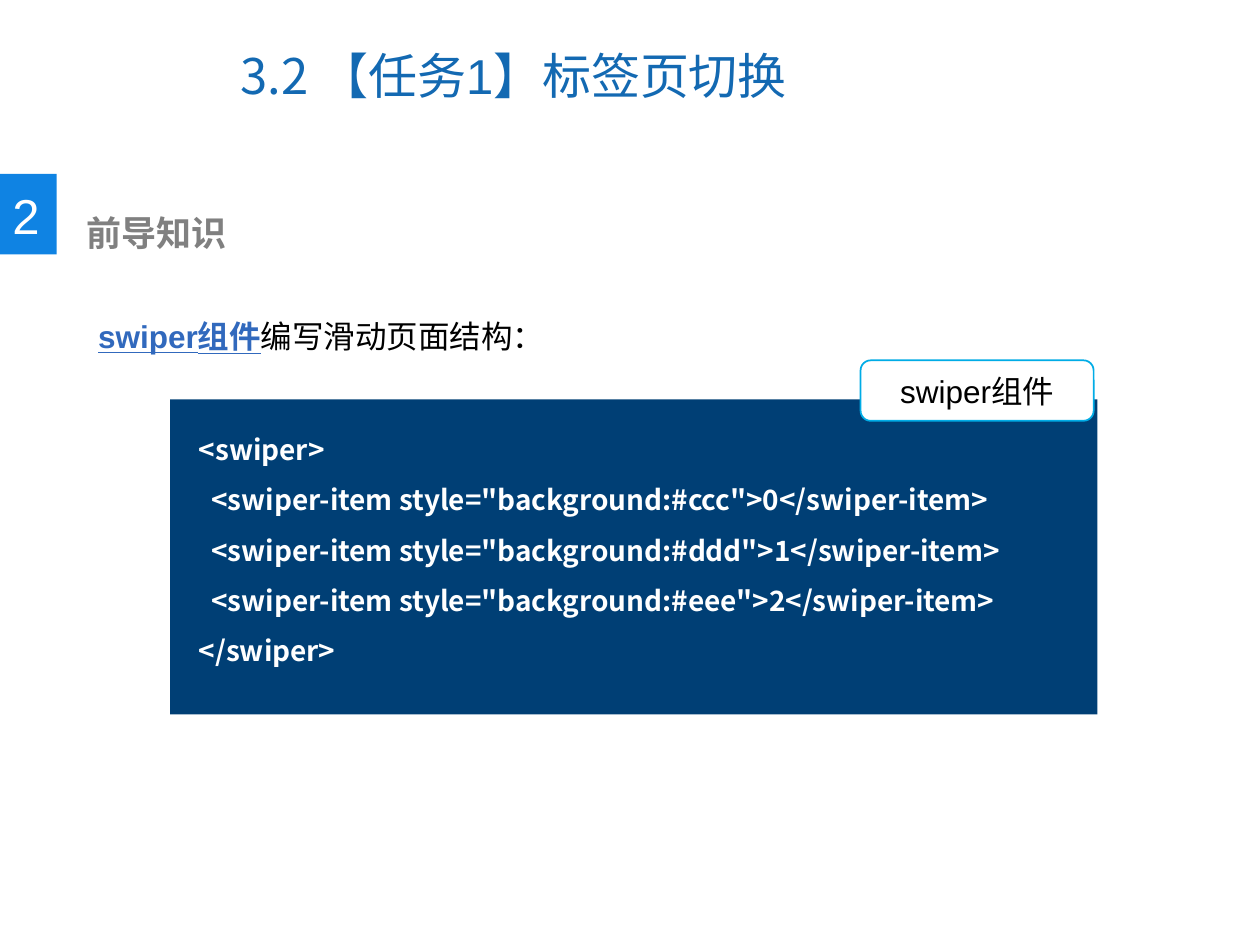
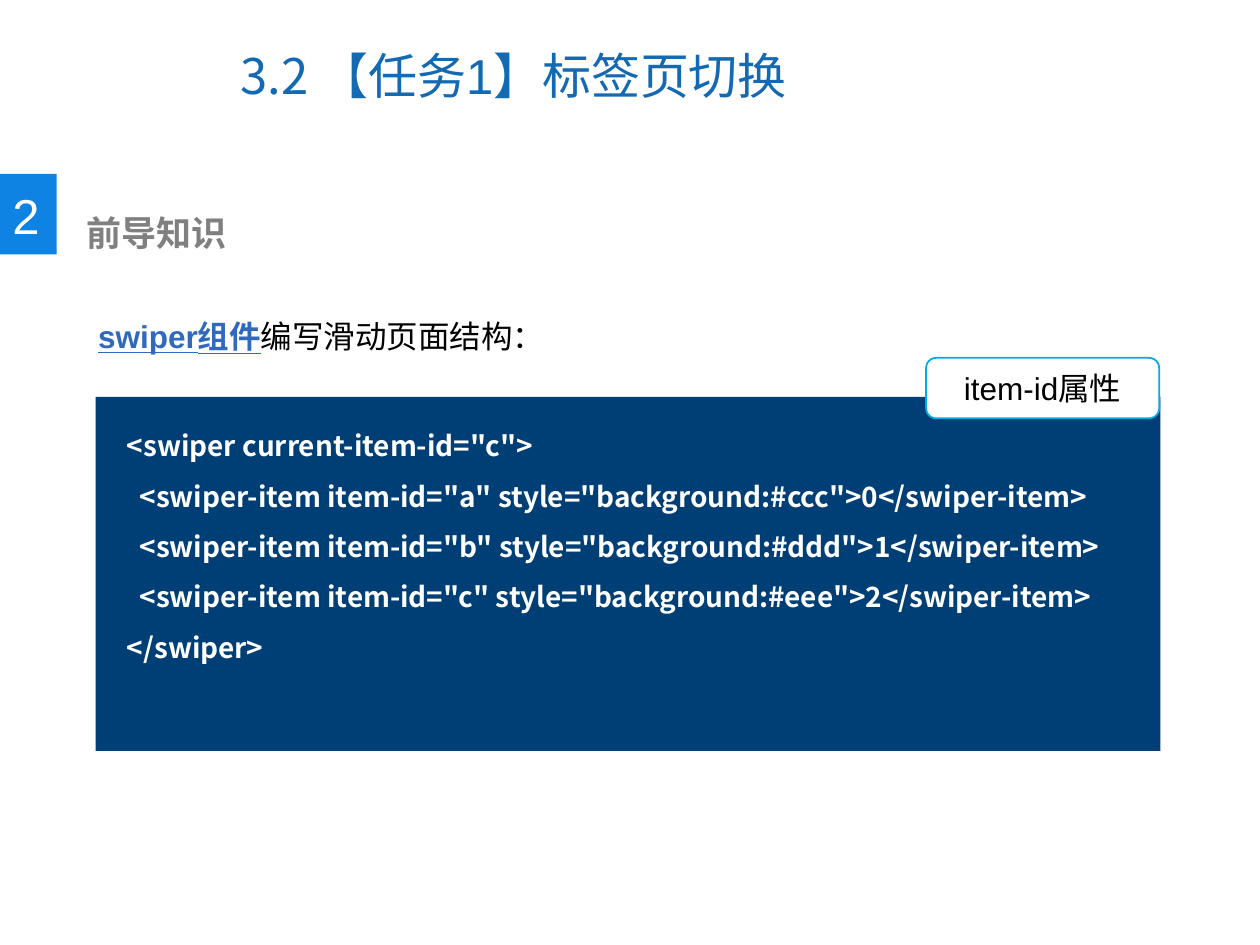
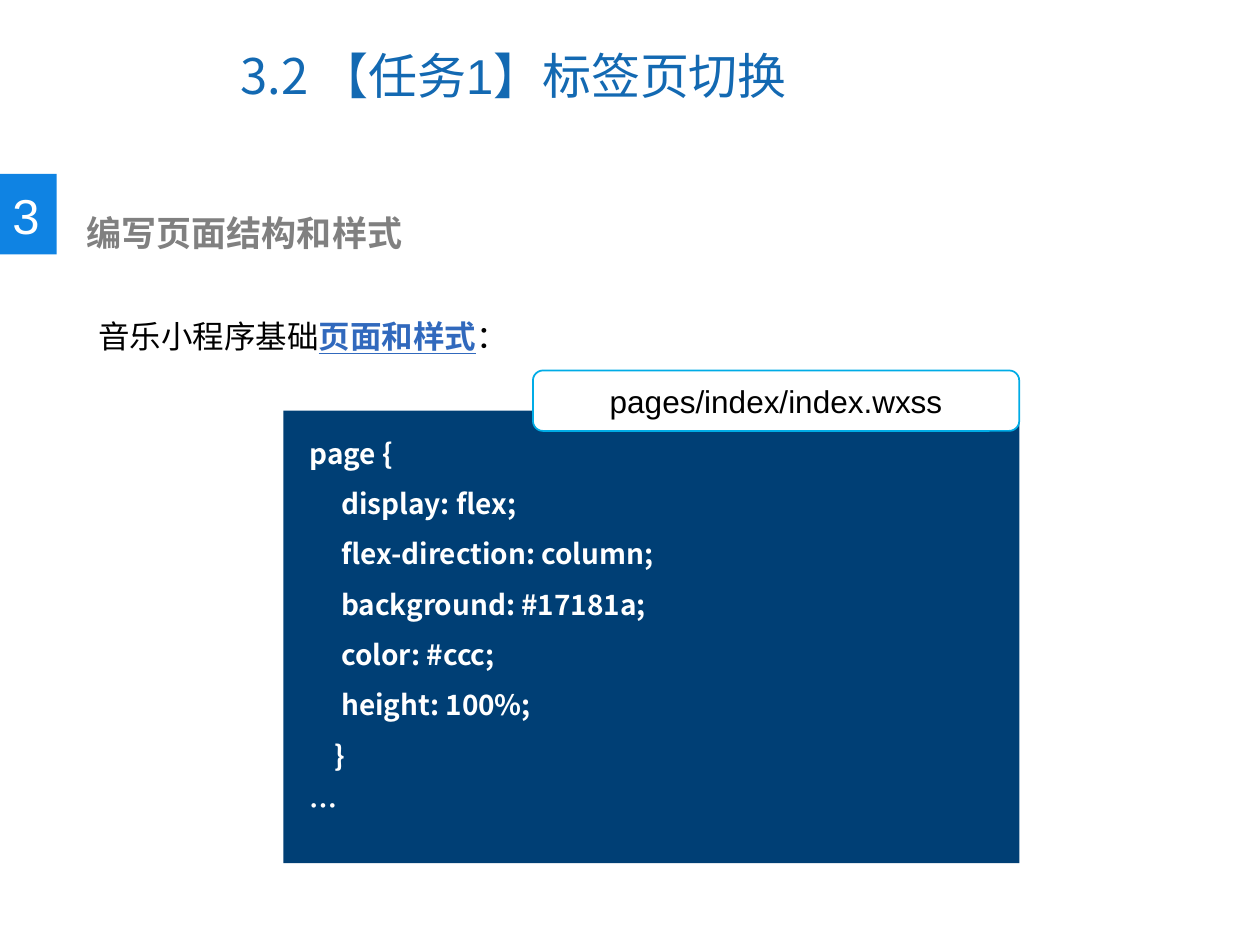
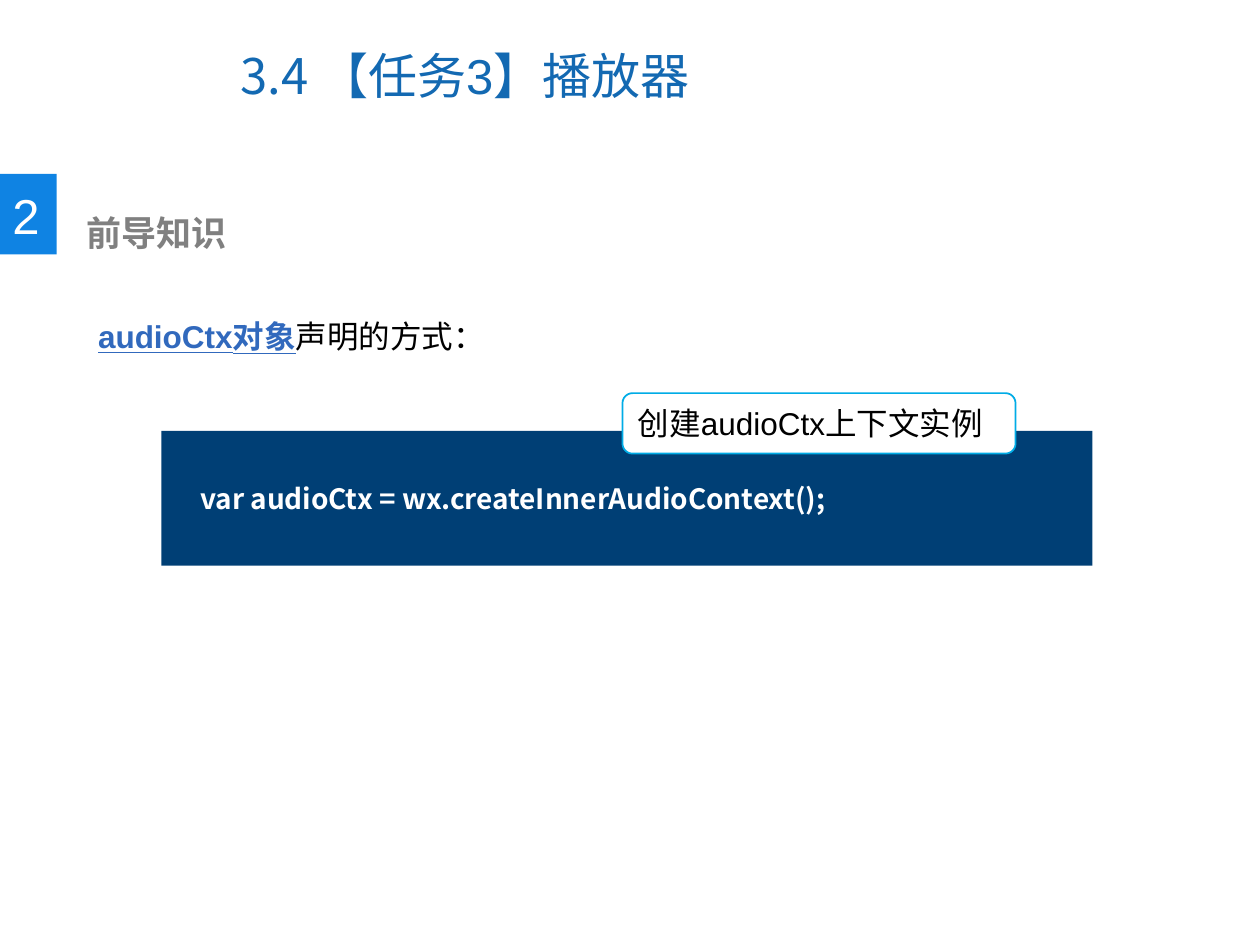
import pptx
import pptx.dml.color
import pptx.enum.lang
import pptx.enum.shapes
import pptx.enum.text
import pptx.util

Inches = pptx.util.Inches
SHAPE = pptx.enum.shapes.MSO_SHAPE
ALIGN = pptx.enum.text.PP_ALIGN
ANCHOR = pptx.enum.text.MSO_ANCHOR
AUTO = pptx.enum.text.MSO_AUTO_SIZE
CHINESE = pptx.enum.lang.MSO_LANGUAGE_ID.SIMPLIFIED_CHINESE

COLORS = {
    "title": "1369B2",
    "badge": "0F83E3",
    "heading": "808080",
    "key": "3169BD",
    "code": "003F75",
    "tag_line": "00ACE6",
    "text": "000000",
    "white": "FFFFFF",
}
SANS = "Arial"
CJK = "Noto Sans CJK SC"
SERIF = "Times New Roman"


def rgb(name):
    return pptx.dml.color.RGBColor.from_string(COLORS[name])


def add_run(p, text, size=18, font=SANS, color="text", bold=False, underline=False):
    r = p.add_run()
    r.text = text
    r.font.size = pptx.util.Pt(size)
    r.font.name = font
    r.font.color.rgb = rgb(color)
    r.font.bold = bold
    r.font.underline = underline
    r.font.language_id = CHINESE


def indent(p, inches):
    p._p.get_or_add_pPr().set("marL", str(Inches(inches)))


class Deck:
    def __init__(self):
        self.prs = pptx.Presentation()
        self.prs.slide_width = Inches(10)
        self.prs.slide_height = Inches(7.5)
        self.s = None

    def box(self, x, y, w, h, wrap=True, grow=True):
        tf = self.s.shapes.add_textbox(Inches(x), Inches(y), Inches(w), Inches(h)).text_frame
        tf.word_wrap = wrap
        tf.auto_size = AUTO.SHAPE_TO_FIT_TEXT if grow else AUTO.NONE
        return tf

    def shape(self, kind, x, y, w, h, fill, line=None):
        sp = self.s.shapes.add_shape(kind, Inches(x), Inches(y), Inches(w), Inches(h))
        sp.shadow.inherit = False
        sp.fill.solid()
        sp.fill.fore_color.rgb = rgb(fill)
        if line:
            sp.line.color.rgb = rgb(line)
            sp.line.width = pptx.util.Pt(1)
        else:
            sp.line.fill.background()
        return sp

    def slide(self, section, title, number, heading, lead):
        self.s = self.prs.slides.add_slide(self.prs.slide_layouts[6])
        self.title(section, title)
        self.badge(number)
        self.heading(heading)
        self.lead(lead)

    def title(self, section, title):
        tf = self.box(1.81, 0.17, 5.16, 0.85, grow=False)
        tf.vertical_anchor = ANCHOR.MIDDLE
        p = tf.paragraphs[0]
        add_run(p, section + " ", size=28, font=CJK, color="title")
        add_run(p, title, size=28, color="title")

    def badge(self, number):
        self.shape(SHAPE.RECTANGLE, 0, 1.38, 0.45, 0.64, "badge")
        tf = self.box(0, 1.42, 0.42, 0.57, wrap=False)
        add_run(tf.paragraphs[0], number, size=28, color="white")

    def heading(self, text):
        p = self.box(0.48, 1.63, 5.14, 0.44).paragraphs[0]
        indent(p, 0.11)
        add_run(p, text, size=20, font=SERIF, color="heading", bold=True)

    def lead(self, parts):
        p = self.box(0.68, 2.17, 8.65, 0.71).paragraphs[0]
        p.line_spacing = 2.0
        for text, key in parts:
            add_run(p, text, color="key" if key else "text", bold=key, underline=key)

    def code(self, panel, text_at, lines, spacing=1.5, top=0.05):
        self.shape(SHAPE.RECTANGLE, *panel, "code")
        tf = self.box(*text_at)
        tf.margin_top = Inches(top)
        for i, (left, text) in enumerate(lines):
            p = tf.add_paragraph() if i else tf.paragraphs[0]
            p.line_spacing = spacing
            if left:
                indent(p, left)
            add_run(p, text, size=16, font=CJK, color="white", bold=True)

    def tag(self, text, x, y, w, align=ALIGN.CENTER):
        sp = self.shape(SHAPE.ROUNDED_RECTANGLE, x, y, w, 0.48, "white", "tag_line")
        p = sp.text_frame.paragraphs[0]
        p.alignment = align
        add_run(p, text)


def swiper(attribute, item_attributes):
    colors = ("#ccc", "#ddd", "#eee")
    items = [
        (0.1, f'<swiper-item{extra} style="background:{color}">{i}</swiper-item>')
        for i, (color, extra) in enumerate(zip(colors, item_attributes))
    ]
    return [(0, f"<swiper{attribute}>"), *items, (0, "</swiper>")]


def main():
    deck = Deck()
    tabs = ("3.2", "【任务1】标签页切换")
    basics = ("2", "前导知识")
    swiper_lead = [("swiper组件", True), ("编写滑动页面结构：", False)]

    deck.slide(*tabs, *basics, swiper_lead)
    deck.code((1.35, 3.17, 7.36, 2.5), (1.48, 3.25, 7.22, 1.06), swiper("", [""] * 3))
    deck.tag("swiper组件", 6.83, 2.86, 1.85)

    deck.slide(*tabs, *basics, swiper_lead)
    ids = [f' item-id="{letter}"' for letter in "abc"]
    deck.code((0.76, 3.15, 8.45, 2.81), (0.91, 3.22, 8.3, 2.75),
              swiper(' current-item-id="c"', ids))
    deck.tag("item-id属性", 7.35, 2.84, 1.85)

    deck.slide(*tabs, "3", "编写页面结构和样式",
               [("音乐小程序基础", False), ("页面和样式", True), ("：", False)])
    rules = ("display: flex;", "flex-direction: column;", "background: #17181a;",
             "color: #ccc;", "height: 100%;")
    deck.code((2.25, 3.26, 5.84, 3.59), (2.36, 3.28, 5.74, 3.71),
              [(0, "page {"), *[(0.25, rule) for rule in rules], (0.2, "}"), (0, "…")])
    deck.tag("pages/index/index.wxss", 4.23, 2.94, 3.86)

    deck.slide("3.4", "【任务3】播放器", *basics,
               [("audioCtx对象", True), ("声明的方式：", False)])
    deck.code((1.28, 3.42, 7.39, 1.07), (1.49, 3.27, 7.17, 0.91),
              [(0, "var audioCtx = wx.createInnerAudioContext();")], spacing=1.0, top=0.55)
    deck.tag("创建audioCtx上下文实例", 4.94, 3.12, 3.12, ALIGN.LEFT)

    deck.prs.save("out.pptx")


if __name__ == "__main__":
    main()
